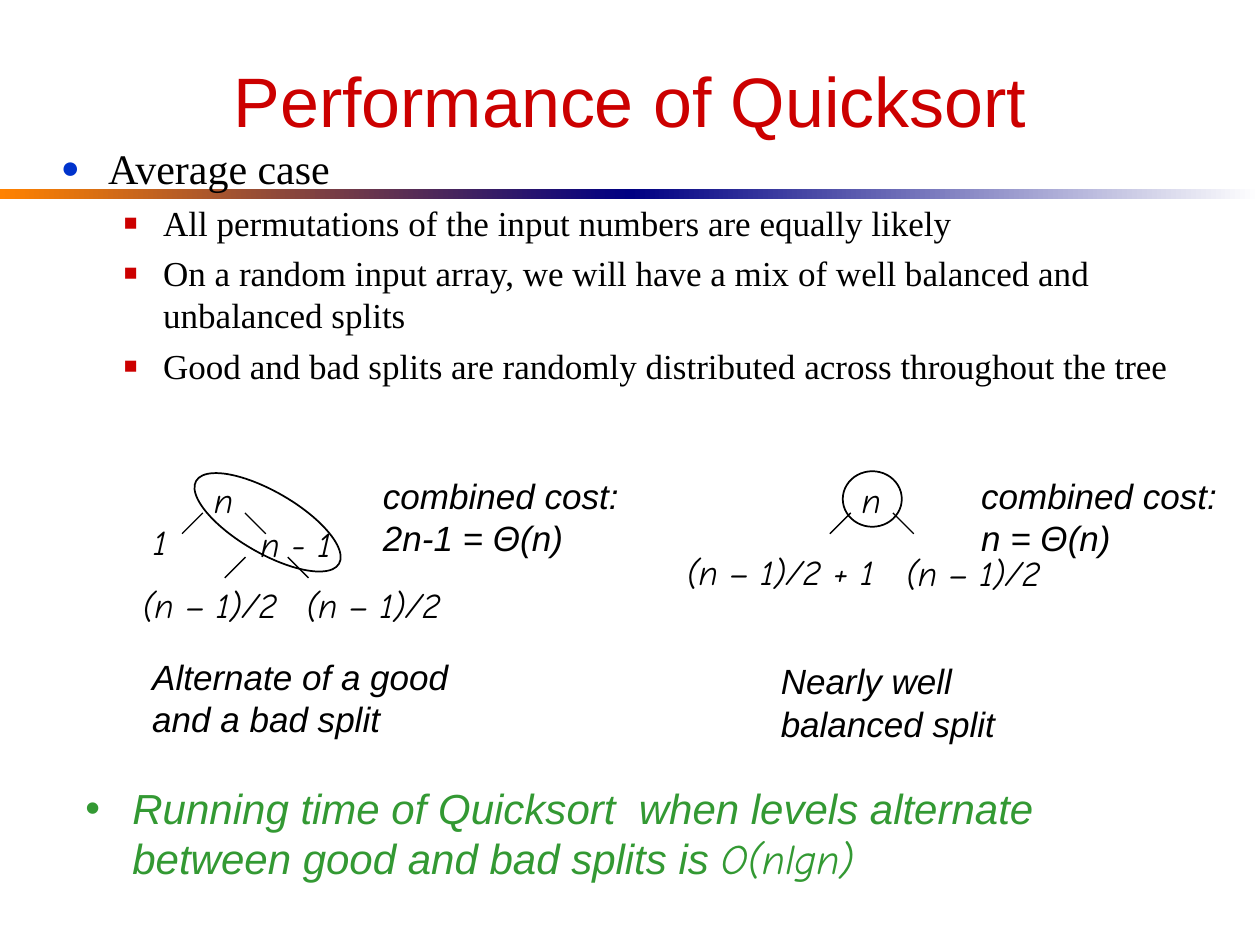
from lxml.etree import SubElement as Sub
from pptx import Presentation
from pptx.dml.color import RGBColor as RGB
from pptx.enum.shapes import MSO_CONNECTOR as LINK, MSO_SHAPE as SHAPE
from pptx.enum.text import MSO_ANCHOR as ANCHOR, MSO_AUTO_SIZE as AUTO, PP_ALIGN as ALIGN
from pptx.oxml.ns import qn
from pptx.util import Cm, Pt

HUES = {"red": "CC0000", "blue": "0033CC", "green": "339933", "black": "000000",
        "orange": "FF8200", "navy": "000082", "white": "FFFFFF"}
TITLE = {"name": "Arial", "size": Pt(40)}
HEAD = {"name": "Times New Roman", "size": Pt(24)}
POINT = {"name": "Times New Roman", "size": Pt(20)}
NOTE = {"name": "Arial", "size": Pt(20), "italic": True}
MATH = {"name": "Comic Neue", "size": Pt(20), "italic": True}
CLAIM = {"name": "Arial", "size": Pt(24), "italic": True}
COST = {"name": "Comic Neue", "size": Pt(24), "italic": True}

deck = Presentation()
deck.slide_width, deck.slide_height = Cm(25.4), Cm(19.05)
slide = deck.slides.add_slide(deck.slide_layouts[6])
shapes = slide.shapes


def add_text(box, paras, hue="black", wrap=True):
    """Add a text box; each paragraph is a list of (text, format) runs."""
    frame = shapes.add_textbox(*map(Cm, box)).text_frame
    frame.word_wrap = wrap
    frame.auto_size = AUTO.NONE if wrap else AUTO.SHAPE_TO_FIT_TEXT
    for num, runs in enumerate(paras):
        para = frame.add_paragraph() if num else frame.paragraphs[0]
        for text, form in runs:
            run = para.add_run()
            run.text = text
            run.font.color.rgb = RGB.from_string(HUES[hue])
            for key, val in form.items():
                setattr(run.font, key, val)
    return frame


def add_bullet(para, sign, hue, size, left, hang, gap):
    para.space_before = Pt(gap)
    props = para._p.get_or_add_pPr()
    props.set("marL", str(Cm(left)))
    props.set("indent", str(-Cm(hang)))
    Sub(Sub(props, qn("a:buClr")), qn("a:srgbClr"), val=HUES[hue])
    Sub(props, qn("a:buSzPct"), val=str(size * 1000))
    Sub(props, qn("a:buFont"), typeface="Arial")
    Sub(props, qn("a:buChar"), char=sign)


# Gradient rule across the slide
for left, hues in ((0, ("orange", "navy")), (12.7, ("navy", "white"))):
    bar = shapes.add_shape(SHAPE.RECTANGLE, Cm(left), Cm(3.81), Cm(12.7), Cm(0.2))
    bar.shadow.inherit = False
    bar.line.fill.background()
    bar.fill.gradient()
    bar.fill.gradient_angle = 0
    for stop, hue in zip(bar.fill.gradient_stops, hues):
        stop.color.rgb = RGB.from_string(HUES[hue])

# Title
title = add_text((1.27, 0.64, 22.86, 2.74), [[("Performance of Quicksort", TITLE)]], "red")
title.vertical_anchor = ANCHOR.MIDDLE
title.paragraphs[0].alignment = ALIGN.CENTER

# Average case
points = ["All permutations of the input numbers are equally likely",
          "On a random input array, we will have a mix of well balanced and unbalanced splits",
          "Good and bad splits are randomly distributed across throughout the tree"]
body = add_text((0.98, 2.74, 22.86, 6.78),
                [[("Average case", HEAD)]] + [[(text, POINT)] for text in points])
first, *rest = body.paragraphs
add_bullet(first, "●", "blue", 75, 0.95, 0.95, 6)
for para in rest:
    para.level = 1
    add_bullet(para, "■", "red", 65, 2.06, 0.79, 5)

# Notes beside and below the trees
for left, top, width, lines in (
        (2.82, 13.08, 6.48, ("Alternate of a good", "and a bad split")),
        (15.49, 13.18, 4.83, ("Nearly well", "balanced split")),
        (7.47, 9.45, 5.26, ("combined cost:", "2n-1 = Θ(n)")),
        (19.53, 9.45, 5.26, ("combined cost:", "n = Θ(n)"))):
    add_text((left, top, width, 1.96), [[(line, NOTE)] for line in lines], wrap=False)

# Tree nodes
for left, top, width, text in (
        (4.06, 9.53, 0.89, "n"), (5, 10.41, 2.1, "n - 1"), (2.84, 10.36, 0.79, "1"),
        (5.92, 11.63, 3.23, "(n – 1)/2"), (2.62, 11.63, 3.23, "(n – 1)/2"),
        (17.12, 9.53, 0.89, "n"), (18.01, 11, 3.23, "(n – 1)/2"),
        (13.59, 10.97, 4.29, "(n – 1)/2 + 1")):
    add_text((left, top, width, 1.12), [[(text, MATH)]], wrap=False)

# Branches: one to the left and one to the right of each parent
for left, top in ((4.09, 10.34), (4.95, 11.23), (17.15, 10.34)):
    for start, step in ((left, -0.42), (left + 0.85, 0.42)):
        branch = shapes.add_connector(LINK.STRAIGHT, Cm(start), Cm(top),
                                      Cm(start + step), Cm(top + 0.42))
        branch.line.color.rgb = RGB.from_string(HUES["black"])
        branch.line.width = Pt(0.75)
        Sub(branch._element.spPr, qn("a:effectLst"))

# Rings around the combined levels
for box, turn in (((3.73, 9.91, 3.33, 1.24), 30.1), ((16.99, 9.5, 1.19, 1.12), 0)):
    ring = shapes.add_shape(SHAPE.OVAL, *map(Cm, box))
    ring.rotation = turn
    ring.shadow.inherit = False
    ring.fill.background()
    ring.line.color.rgb = RGB.from_string(HUES["black"])
    ring.line.width = Pt(1)

# Running time
claim = "Running time of Quicksort  when levels alternate between good and bad splits is "
end = add_text((1.47, 15.65, 22.86, 2.34), [[(claim, CLAIM), ("O(nlgn)", COST)]], "green")
add_bullet(end.paragraphs[0], "•", "green", 100, 0.95, 0.95, 6)

deck.save("out.pptx")
